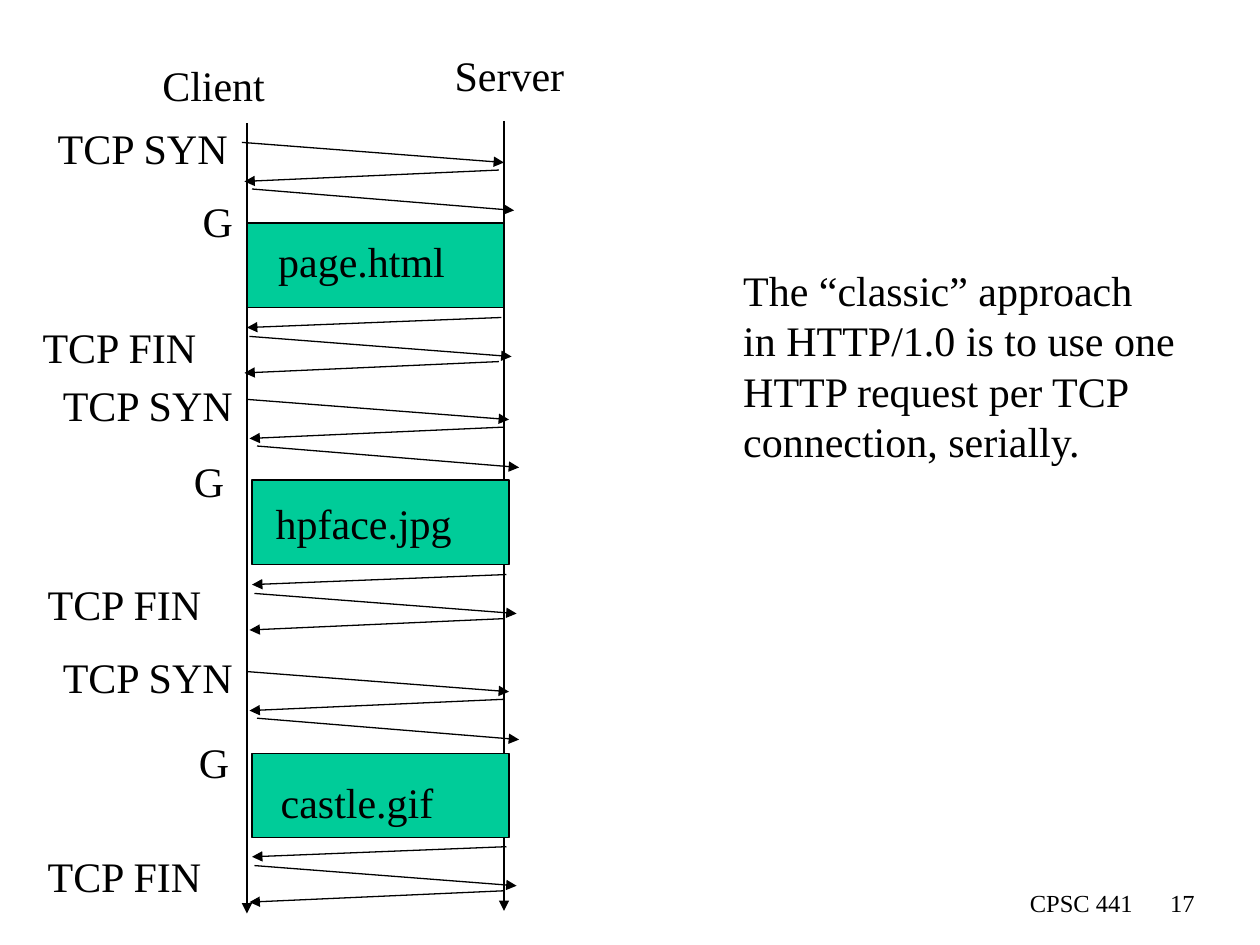
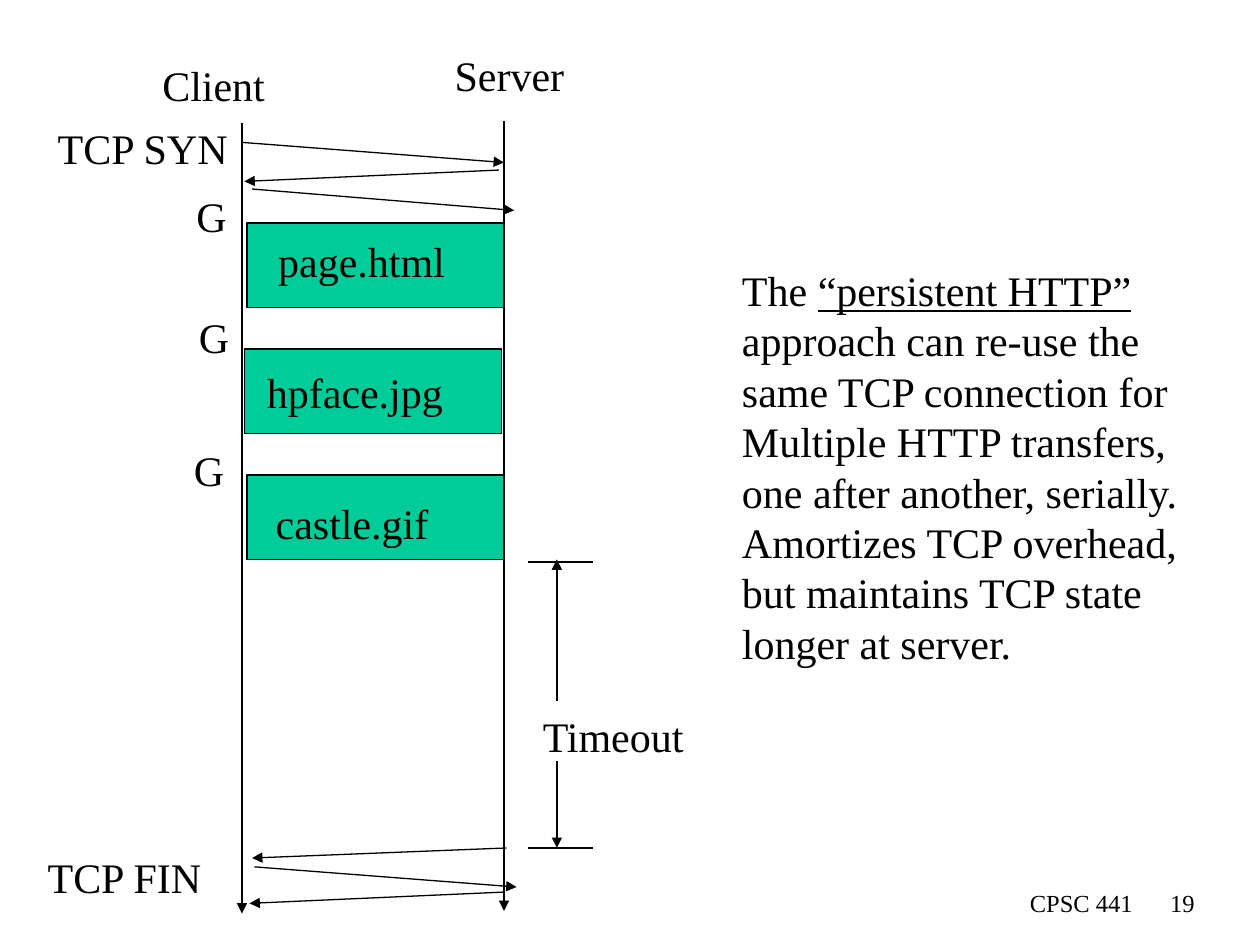
from lxml import etree
from pptx import Presentation
from pptx.dml.color import RGBColor
from pptx.enum.shapes import MSO_CONNECTOR, MSO_SHAPE
from pptx.enum.text import MSO_AUTO_SIZE, PP_ALIGN
from pptx.oxml.ns import qn
from pptx.util import Inches, Pt

LINE = MSO_CONNECTOR.STRAIGHT
RECT = MSO_SHAPE.RECTANGLE
LEFT, RIGHT = PP_ALIGN.LEFT, PP_ALIGN.RIGHT
FIT, FIXED = MSO_AUTO_SIZE.SHAPE_TO_FIT_TEXT, MSO_AUTO_SIZE.NONE

FONT = "Times New Roman"
INK, GREEN = "000000", "00CC99"
ROW = 0.5
SERVER = 4

# Arrows of a TCP exchange, relative to its top left corner
SYN = [(0, 0, 2.08, 0.16), (2.04, 0.22, 0.02, 0.31), (0.08, 0.37, 2.16, 0.54)]
FIN = [(2.04, 0, 0.02, 0.08), (0.04, 0.15, 2.12, 0.31), (2.02, 0.35, 0, 0.44)]

CLASSIC = [
    "The “classic” approach",
    "in HTTP/1.0 is to use one",
    "HTTP request per TCP",
    "connection, serially.",
]
# A pair holds plain text, then underlined text
PERSIST = [
    ("The ", "“persistent HTTP”"),
    "approach can re-use the",
    "same TCP connection for",
    "Multiple HTTP transfers,",
    "one after another, serially.",
    "Amortizes TCP overhead,",
    "but maintains TCP state",
    "longer at server.",
]


def color(code):
    return RGBColor.from_string(code)


def text(slide, rows, x, y, w, h=ROW, size=24, align=LEFT, wrap=False):
    box = slide.shapes.add_textbox(Inches(x), Inches(y), Inches(w), Inches(h))
    frame = box.text_frame
    frame.word_wrap = wrap
    frame.auto_size = FIXED if wrap else FIT
    rows = [rows] if isinstance(rows, str) else rows
    for i, row in enumerate(rows):
        para = frame.add_paragraph() if i else frame.paragraphs[0]
        para.alignment = align
        parts = (row,) if isinstance(row, str) else row
        for j, part in enumerate(parts):
            run = para.add_run()
            run.text = part
            run.font.name = FONT
            run.font.size = Pt(size)
            run.font.color.rgb = color(INK)
            if j:
                run.font.underline = True


def line(slide, x1, y1, x2, y2, head=True):
    link = slide.shapes.add_connector(
        LINE, Inches(x1), Inches(y1), Inches(x2), Inches(y2))
    link.line.color.rgb = color(INK)
    link.line.width = Pt(0.75)
    if head:
        tip = etree.SubElement(link.line._get_or_add_ln(), qn("a:tailEnd"))
        tip.set("type", "triangle")
    etree.SubElement(link._element.spPr, qn("a:effectLst"))


def arrows(slide, steps, x, y):
    for x1, y1, x2, y2 in steps:
        line(slide, x + x1, y + y1, x + x2, y + y2)


def syn(slide, x, y):
    arrows(slide, SYN, x, y)
    text(slide, "TCP SYN", x - 1.56, y - 0.21, 1.6)


def fin(slide, x, y):
    arrows(slide, FIN, x, y)
    text(slide, "TCP FIN", x - 1.7, y - 0.02, 1.5)


def block(slide, x, y, name, name_at, get_at):
    """Green transfer box with its file name and request mark."""
    box = slide.shapes.add_shape(
        RECT, Inches(x), Inches(y), Inches(2.04), Inches(0.67))
    box.shadow.inherit = False
    box.fill.solid()
    box.fill.fore_color.rgb = color(GREEN)
    box.line.color.rgb = color(INK)
    box.line.width = Pt(0.75)
    text(slide, name, *name_at, 1.7)
    text(slide, "G", *get_at, 0.48)


def timeout(slide, x, top, end):
    text(slide, "Timeout", x - 0.21, 5.59, 1.4)
    line(slide, x, 5.56, x, top - 0.02)
    line(slide, x, 6.04, x, end)
    for y in (top, end):
        line(slide, x - 0.23, y, x + 0.29, y, head=False)


def base(deck, client, number):
    """Blank slide with both time axes, their names and the footer."""
    slide = deck.slides.add_slide(deck.slide_layouts[6])
    line(slide, client, 0.98, client, 7.25)
    line(slide, SERVER, 0.96, SERVER, 7.23)
    text(slide, "Client", 1.19, 0.42, 1.1)
    text(slide, "Server", 3.51, 0.34, 1.15)
    foot = {"size": 14, "align": RIGHT, "wrap": True}
    text(slide, "CPSC 441", 5.92, 7, 3.17, **foot)
    text(slide, number, 9.08, 7, 0.5, **foot)
    return slide


def main():
    deck = Presentation()
    deck.slide_width, deck.slide_height = Inches(10), Inches(7.5)

    # One connection per request
    slide = base(deck, 1.96, "17")
    text(slide, CLASSIC, 5.8, 2.05, 3.75, 1.7)
    for x, y in ((1.92, 1.13), (1.96, 3.17), (1.96, 5.33)):
        syn(slide, x, y)
        fin(slide, x + 0.02, y + 1.39)
    block(slide, 1.96, 1.77, "page.html", (2.11, 1.82), (1.51, 1.5))
    block(slide, 2, 3.81, "hpface.jpg", (2.09, 3.9), (1.44, 3.57))
    block(slide, 2, 5.98, "castle.gif", (2.13, 6.11), (1.48, 5.8))

    # One connection for all requests
    slide = base(deck, 1.92, "19")
    text(slide, PERSIST, 5.79, 2.05, 3.75, 3.3)
    syn(slide, 1.92, 1.13)
    block(slide, 1.96, 1.77, "page.html", (2.11, 1.82), (1.46, 1.46))
    block(slide, 1.94, 2.77, "hpface.jpg", (2.02, 2.86), (1.48, 2.42))
    block(slide, 1.96, 3.77, "castle.gif", (2.09, 3.9), (1.44, 3.48))
    timeout(slide, 4.42, 4.46, 6.73)
    fin(slide, 1.98, 6.73)

    deck.save("out.pptx")


if __name__ == "__main__":
    main()
